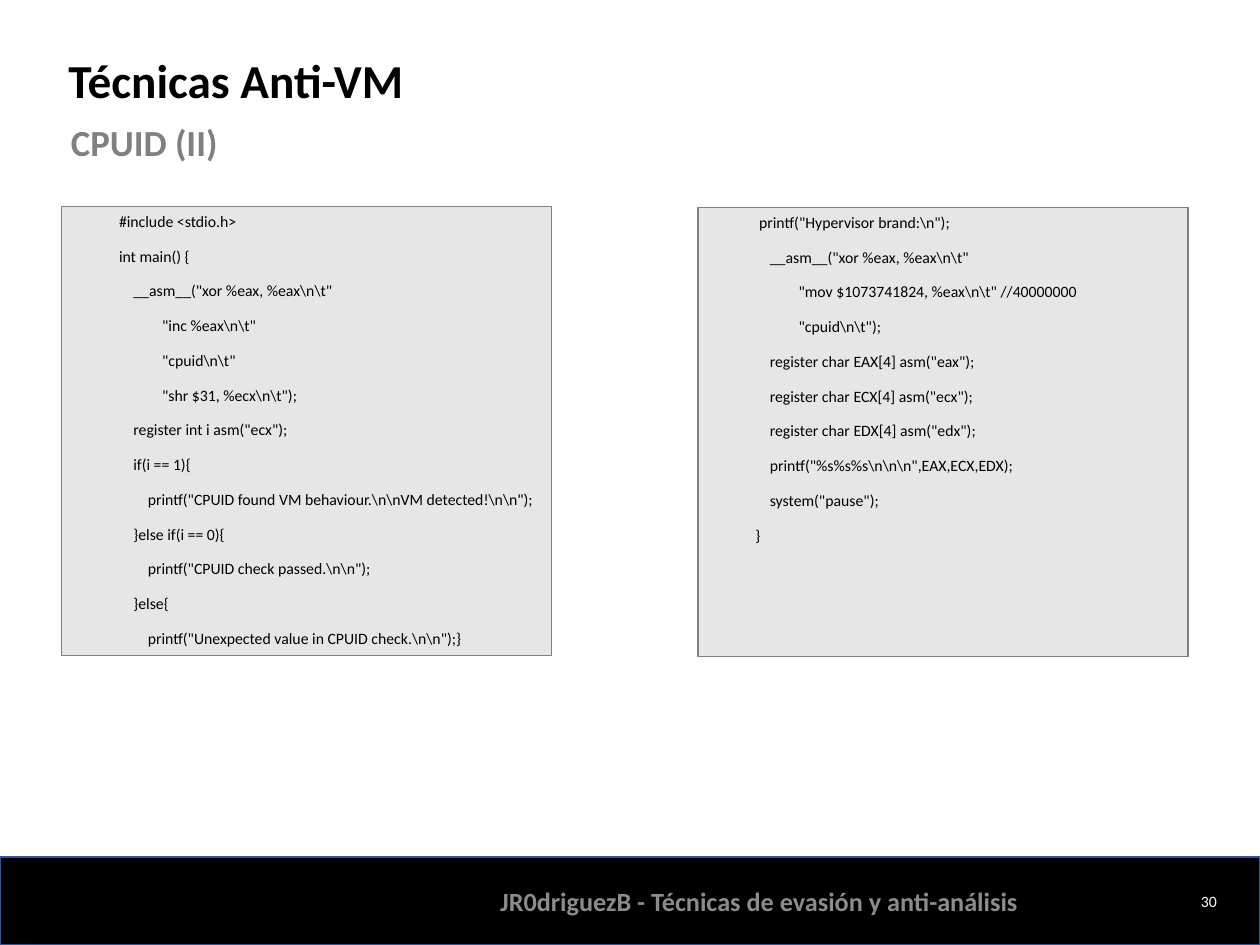
from pptx import Presentation
from pptx.dml.color import RGBColor
from pptx.enum.shapes import MSO_SHAPE as Shape
from pptx.enum.text import MSO_ANCHOR as Anchor, PP_ALIGN as Align
from pptx.util import Cm, Pt

BLACK = RGBColor(0x00, 0x00, 0x00)
WHITE = RGBColor(0xFF, 0xFF, 0xFF)
GRAY = RGBColor(0x80, 0x80, 0x80)
FOOTER_GRAY = RGBColor(0x8C, 0x8C, 0x8C)
PANEL_GRAY = RGBColor(0xE7, 0xE6, 0xE6)
BAR_BLUE = RGBColor(0x32, 0x54, 0x91)

# text, (left, top, width, height) in cm, size, colour, bold, alignment, anchor
LABELS = [
    ("Técnicas Anti-VM", (1.19, 0.94, 23.01, 1.35), 27, BLACK, True, Align.LEFT, Anchor.TOP),
    ("CPUID (II)", (1.24, 2.31, 23.01, 1.09), 21, GRAY, True, Align.LEFT, Anchor.TOP),
    ("JR0driguezB - Técnicas de evasión y anti-análisis",
     (9.45, 17.65, 11.71, 1.02), 15, FOOTER_GRAY, True, Align.CENTER, Anchor.MIDDLE),
    ("30", (19, 17.65, 5.72, 1.02), 9, WHITE, False, Align.RIGHT, Anchor.MIDDLE),
]

# (indent level, code line)
DETECTION_CODE = [
    (0, "#include <stdio.h>"),
    (0, "int main() {"),
    (1, r'__asm__("xor %eax, %eax\n\t"'),
    (3, r'"inc %eax\n\t"'),
    (3, r'"cpuid\n\t"'),
    (3, r'"shr $31, %ecx\n\t");'),
    (1, 'register int i asm("ecx");'),
    (1, "if(i == 1){"),
    (2, r'printf("CPUID found VM behaviour.\n\nVM detected!\n\n");'),
    (1, "}else if(i == 0){"),
    (2, r'printf("CPUID check passed.\n\n");'),
    (1, "}else{"),
    (2, r'printf("Unexpected value in CPUID check.\n\n");}'),
]
BRAND_CODE = [
    (0.25, r'printf("Hypervisor brand:\n");'),
    (1, r'__asm__("xor %eax, %eax\n\t"'),
    (3, r'"mov $1073741824, %eax\n\t" //40000000'),
    (3, r'"cpuid\n\t");'),
    (1, 'register char EAX[4] asm("eax");'),
    (1, 'register char ECX[4] asm("ecx");'),
    (1, 'register char EDX[4] asm("edx");'),
    (1, r'printf("%s%s%s\n\n\n",EAX,ECX,EDX);'),
    (1, 'system("pause");'),
    (0, "}"),
]
PANELS = [(1.24, 4.17, DETECTION_CODE), (14.07, 4.19, BRAND_CODE)]
PANEL_WIDTH, PANEL_HEIGHT = 9.88, 9.04
CODE_MARGIN, INDENT_STEP = 0.97, 0.29


def add_rectangle(slide, box, fill, line, line_width):
    rectangle = slide.shapes.add_shape(Shape.RECTANGLE, *map(Cm, box))
    rectangle.shadow.inherit = False
    rectangle.fill.solid()
    rectangle.fill.fore_color.rgb = fill
    rectangle.line.color.rgb = line
    rectangle.line.width = Pt(line_width)
    return rectangle


def prepare_frame(frame, anchor):
    frame.word_wrap = True
    frame.vertical_anchor = anchor
    frame.margin_left = frame.margin_right = Cm(0.19)
    frame.margin_top = frame.margin_bottom = Cm(0.1)


def style_paragraph(paragraph, size, color, bold, align):
    paragraph.alignment = align
    for run in paragraph.runs:
        run.font.name = "Calibri"
        run.font.size = Pt(size)
        run.font.bold = bold
        run.font.color.rgb = color


def add_label(slide, text, box, size, color, bold, align, anchor):
    frame = slide.shapes.add_textbox(*map(Cm, box)).text_frame
    prepare_frame(frame, anchor)
    frame.text = text
    style_paragraph(frame.paragraphs[0], size, color, bold, align)


def add_code_panel(slide, left, top, code):
    box = (left, top, PANEL_WIDTH, PANEL_HEIGHT)
    frame = add_rectangle(slide, box, PANEL_GRAY, GRAY, 0.75).text_frame
    prepare_frame(frame, Anchor.TOP)
    frame.text = "\n".join(line for _, line in code)
    for paragraph, (level, _) in zip(frame.paragraphs, code):
        style_paragraph(paragraph, 9, BLACK, False, Align.JUSTIFY)
        paragraph.space_before = Pt(9)
        properties = paragraph._p.get_or_add_pPr()
        properties.set("marL", str(Cm(CODE_MARGIN + level * INDENT_STEP)))
        properties.set("indent", "0")


def main():
    deck = Presentation()
    deck.slide_width, deck.slide_height = Cm(25.4), Cm(19.05)
    slide = deck.slides.add_slide(deck.slide_layouts[6])
    add_rectangle(slide, (0, 17.27, 25.4, 1.78), BLACK, BAR_BLUE, 1)
    for panel in PANELS:
        add_code_panel(slide, *panel)
    for label in LABELS:
        add_label(slide, *label)
    deck.save("out.pptx")


if __name__ == "__main__":
    main()
